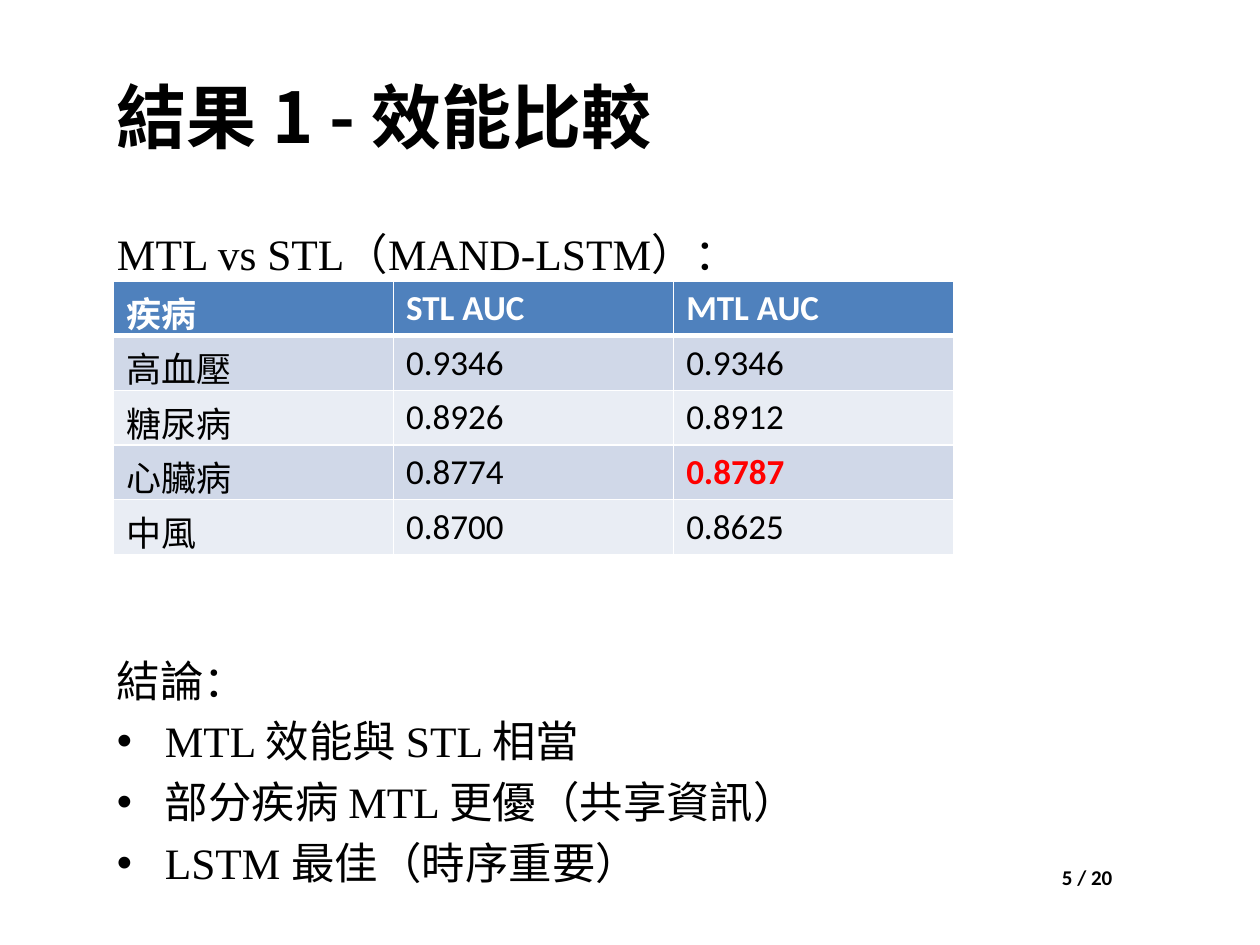
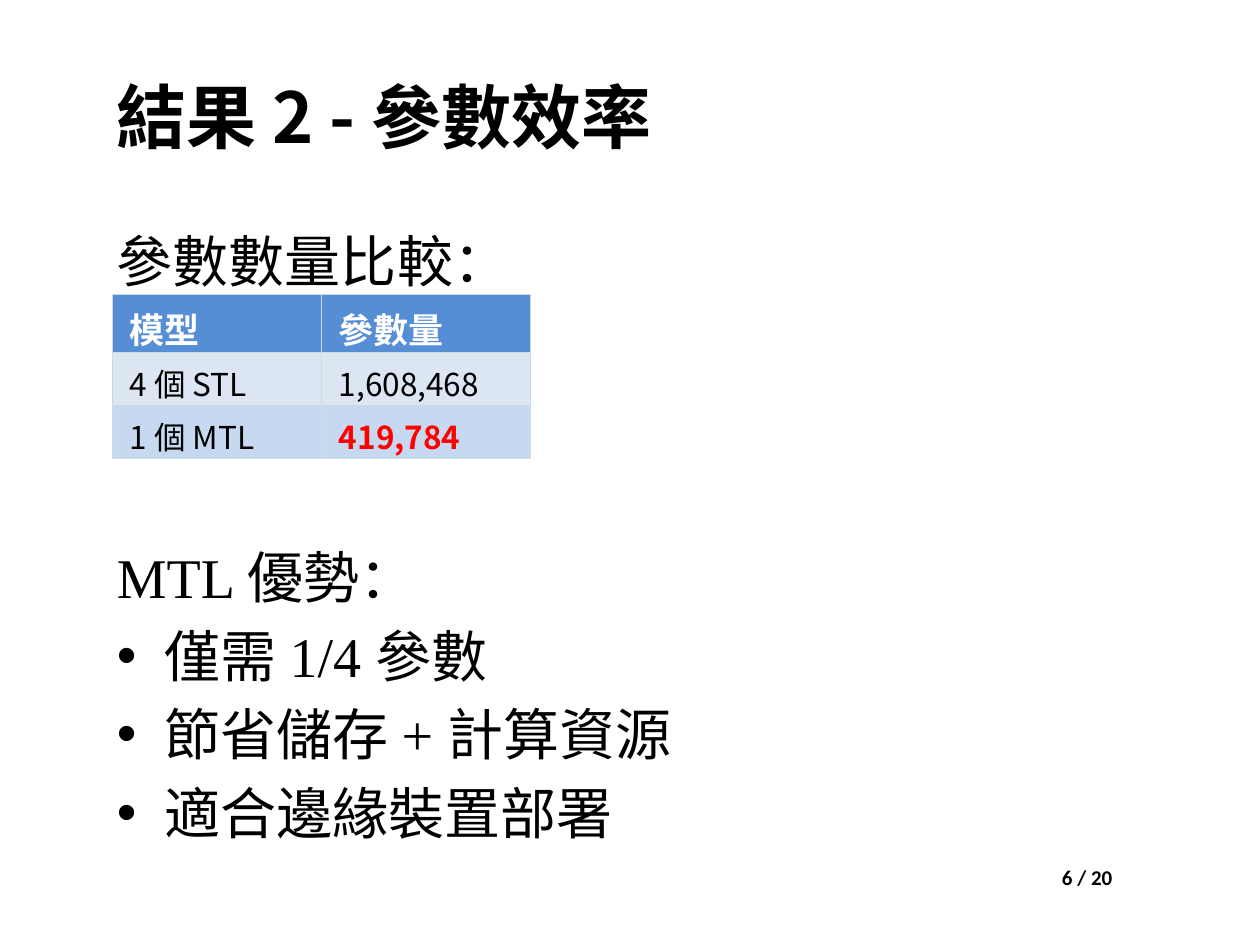
from lxml.etree import SubElement
from pptx import Presentation
from pptx.dml.color import RGBColor
from pptx.enum.text import MSO_ANCHOR
from pptx.oxml.ns import qn
from pptx.util import Inches, Pt

BLACK, WHITE, RED = "000000", "FFFFFF", "FF0000"
SANS, SERIF, PLAIN = "Noto Sans CJK SC", "Times New Roman", "Calibri"
LEFT, WIDE = 0.83, 8.83
TOTAL = 20


def color(code):
    """Turn a hex string into a colour."""
    return RGBColor.from_string(code)


def write(para, text, size, face, code=BLACK, bold=False):
    """Add one styled run to a paragraph."""
    run = para.add_run()
    run.text = text
    font = run.font
    font.size, font.name, font.bold = Pt(size), face, bold
    font.color.rgb = color(code)


def add_box(slide, left, top, width, height):
    """Add a wrapping text box and return its frame."""
    box = slide.shapes.add_textbox(*map(Inches, (left, top, width, height)))
    box.text_frame.word_wrap = True
    return box.text_frame


def add_title(slide, text):
    """Add the slide title."""
    frame = add_box(slide, LEFT, 0.29, WIDE, 1.25)
    frame.vertical_anchor = MSO_ANCHOR.MIDDLE
    write(frame.paragraphs[0], text, 40, SANS, bold=True)


def add_page(slide, number):
    """Add the page count at the lower right."""
    frame = add_box(slide, 8.33, 6.81, 1.39, 0.3)
    write(frame.paragraphs[0], f"{number} / {TOTAL}", 12, PLAIN, bold=True)


def set_bullet(para):
    """Give a paragraph a hanging bullet."""
    props = para._p.get_or_add_pPr()
    props.set("marL", str(Inches(0.38)))
    props.set("indent", str(-Inches(0.38)))
    SubElement(props, qn("a:buFont"), typeface="Arial")
    SubElement(props, qn("a:buChar"), char="•")


def add_body(slide, top, height, size, head, points=()):
    """Add a heading line with the bullet points below it."""
    frame = add_box(slide, LEFT, top, WIDE, height)
    write(frame.paragraphs[0], head, size, SERIF)
    for point in points:
        para = frame.add_paragraph()
        set_bullet(para)
        para.space_before = Pt(size * 0.2)
        write(para, point, size, SERIF)


def set_edges(cell, code, widths):
    """Draw the cell borders; widths maps a side to points."""
    props = cell._tc.get_or_add_tcPr()
    for side, width in widths.items():
        line = SubElement(props, qn(f"a:ln{side}"), w=str(Pt(width)))
        fill = SubElement(line, qn("a:solidFill"))
        SubElement(fill, qn("a:srgbClr"), val=code)


def add_grid(slide, place, rows, heights, look):
    """Add a table with a header row, banded rows and one red value."""
    left, top, width = place
    count = len(rows[0])
    table = slide.shapes.add_table(
        len(rows), count, Inches(left), Inches(top), Inches(width), Inches(sum(heights))
    ).table
    for column in table.columns:
        column.width = Inches(width / count)
    for r, (row, height) in enumerate(zip(rows, heights)):
        table.rows[r].height = Inches(height)
        for c, text in enumerate(row):
            cell = table.cell(r, c)
            edges = dict.fromkeys("LRTB", look["line"])
            if r == 0:
                edges["B"] = look["rule"]
            elif r == 1:
                edges["T"] = look["rule"]
            set_edges(cell, look["edge"], edges)
            cell.fill.solid()
            cell.fill.fore_color.rgb = color(look["bands"][r % 2] if r else look["head"])
            cell.vertical_anchor = look["anchor"]
            cell.margin_left = cell.margin_right = Inches(look["side"])
            cell.margin_top = cell.margin_bottom = Inches(look["pad"])
            best = text == look["best"]
            code = RED if best else BLACK if r else WHITE
            size = look["size"] if r else 20
            write(cell.text_frame.paragraphs[0], text, size, look["face"], code, best or r == 0)


def add_slide(deck, title, number):
    """Add a blank slide with its title and page count."""
    slide = deck.slides.add_slide(deck.slide_layouts[6])
    add_title(slide, title)
    add_page(slide, number)
    return slide


def show_scores(deck):
    """Build the slide that compares AUC scores."""
    slide = add_slide(deck, "結果 1 - 效能比較", 5)
    add_body(slide, 1.75, 0.5, 24.8, "MTL vs STL（MAND-LSTM）：")
    points = ["MTL 效能與 STL 相當", "部分疾病 MTL 更優（共享資訊）", "LSTM 最佳（時序重要）"]
    add_body(slide, 5.14, 2, 24.8, "結論：", points)
    rows = [
        ("疾病", "STL AUC", "MTL AUC"),
        ("高血壓", "0.9346", "0.9346"),
        ("糖尿病", "0.8926", "0.8912"),
        ("心臟病", "0.8774", "0.8787"),
        ("中風", "0.8700", "0.8625"),
    ]
    look = dict(
        head="4F81BD", bands=("E9EDF4", "D0D8E8"), edge=WHITE, line=1, rule=3,
        face=PLAIN, size=20, best="0.8787", side=0.1, pad=0.05, anchor=MSO_ANCHOR.TOP,
    )
    add_grid(slide, (0.9, 2.23, 6.67), rows, [0.43] * 5, look)


def show_counts(deck):
    """Build the slide that compares parameter counts."""
    slide = add_slide(deck, "結果 2 - 參數效率", 6)
    add_body(slide, 1.75, 0.6, 32, "參數數量比較：")
    points = ["僅需 1/4 參數", "節省儲存 + 計算資源", "適合邊緣裝置部署"]
    add_body(slide, 4.26, 2.5, 32, "MTL 優勢：", points)
    rows = [("模型", "參數量"), ("4 個 STL", "1,608,468"), ("1 個 MTL", "419,784")]
    look = dict(
        head="558ED5", bands=("C6D9F1", "DCE6F2"), edge="D1D9E0", line=0.75, rule=0.75,
        face=SANS, size=18, best="419,784", side=0.14, pad=0.06, anchor=MSO_ANCHOR.MIDDLE,
    )
    add_grid(slide, (0.89, 2.34, 3.32), rows, [0.46, 0.42, 0.42], look)


def main():
    """Build and save the deck."""
    deck = Presentation()
    deck.slide_width, deck.slide_height = Inches(10), Inches(7.5)
    show_scores(deck)
    show_counts(deck)
    deck.save("out.pptx")


if __name__ == "__main__":
    main()
